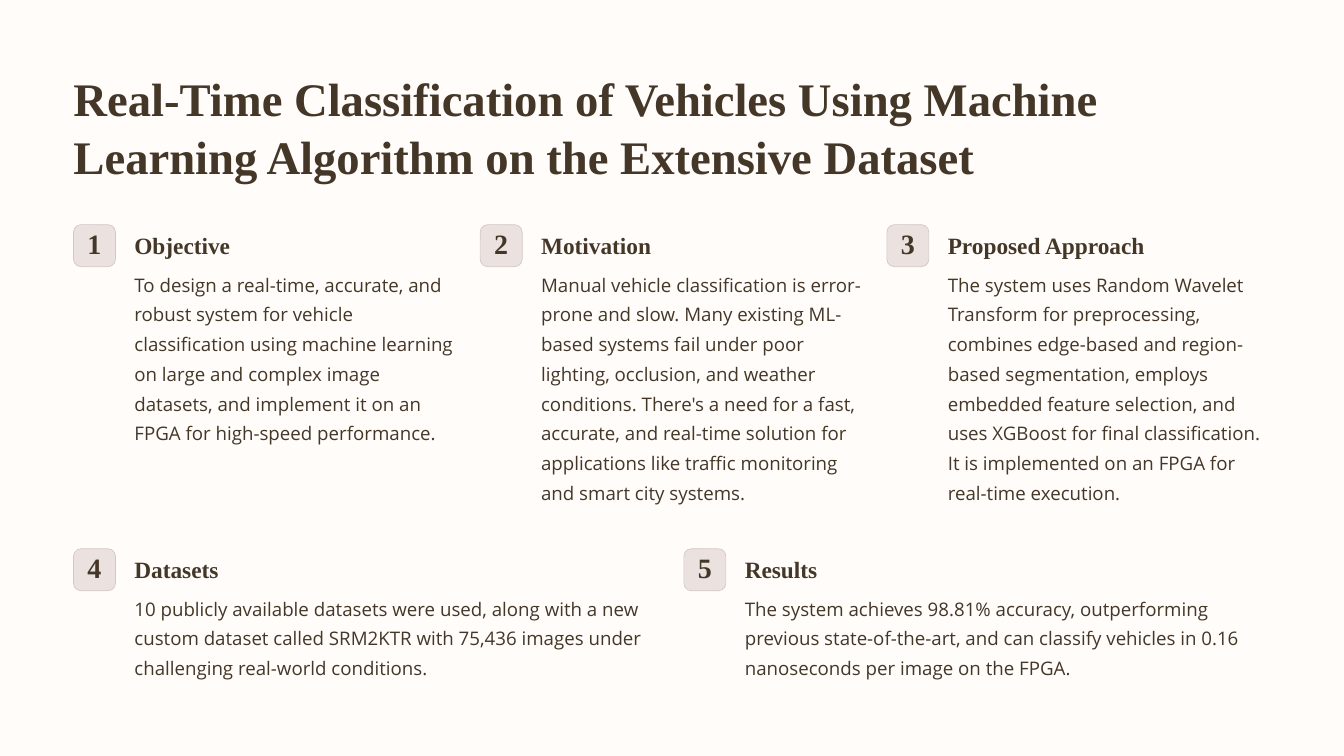
from pptx import Presentation
from pptx.dml.color import RGBColor
from pptx.enum.shapes import MSO_SHAPE
from pptx.enum.text import MSO_ANCHOR, MSO_AUTO_SIZE, PP_ALIGN
from pptx.util import Pt

PX = 9525  # EMU per px, 96 px to the inch
COLORS = {"page": "FFFCFA", "ink": "443728", "badge": "EBE2E0", "edge": "D1C8C6"}
SERIF, SANS = "Times New Roman", "Open Sans"

LEFT, WIDTH, GAP = 105, 1712, 33
BADGE, INDENT = 60, 87

TITLE = ("Real-Time Classification of Vehicles Using Machine Learning Algorithm "
         "on the Extensive Dataset")
# Each row: top, body height, sections
ROWS = [
    (321, 351, [
        ("Objective",
         "To design a real-time, accurate, and robust system for vehicle classification "
         "using machine learning on large and complex image datasets, and implement it "
         "on an FPGA for high-speed performance."),
        ("Motivation",
         "Manual vehicle classification is error-prone and slow. Many existing ML-based "
         "systems fail under poor lighting, occlusion, and weather conditions. There's a "
         "need for a fast, accurate, and real-time solution for applications like "
         "traffic monitoring and smart city systems."),
        ("Proposed Approach",
         "The system uses Random Wavelet Transform for preprocessing, combines edge-based "
         "and region-based segmentation, employs embedded feature selection, and uses "
         "XGBoost for final classification. It is implemented on an FPGA for real-time "
         "execution."),
    ]),
    (784, 136, [
        ("Datasets",
         "10 publicly available datasets were used, along with a new custom dataset called "
         "SRM2KTR with 75,436 images under challenging real-world conditions."),
        ("Results",
         "The system achieves 98.81% accuracy, outperforming previous state-of-the-art, and "
         "can classify vehicles in 0.16 nanoseconds per image on the FPGA."),
    ]),
]


def rgb(name):
    return RGBColor.from_string(COLORS[name])


class Deck:
    """Holds the style and the current slide."""

    def __init__(self, width, height):
        self.prs = Presentation()
        self.prs.slide_width, self.prs.slide_height = width * PX, height * PX
        self.slide = None

    def add_slide(self):
        self.slide = self.prs.slides.add_slide(self.prs.slide_layouts[5])
        fill = self.slide.background.fill
        fill.solid()
        fill.fore_color.rgb = rgb("page")

    def set_text(self, sp, text, size, leading, font=SERIF, bold=True, align=PP_ALIGN.LEFT):
        tf = sp.text_frame
        tf.word_wrap = True
        tf.auto_size = MSO_AUTO_SIZE.NONE
        tf.vertical_anchor = MSO_ANCHOR.TOP
        tf.margin_left = tf.margin_top = tf.margin_right = tf.margin_bottom = 0
        p = tf.paragraphs[0]
        p.text = text
        p.alignment = align
        p.line_spacing = Pt(leading)
        p.space_before = Pt(0)
        p.font.name, p.font.size, p.font.bold = font, Pt(size), bold
        p.font.color.rgb = rgb("ink")

    def title(self, x, y, w, h, text):
        sp = self.slide.shapes.title
        sp.left, sp.top, sp.width, sp.height = (v * PX for v in (x, y, w, h))
        self.set_text(sp, text, 50, 62.5)

    def text(self, x, y, w, h, text, size, leading, **style):
        sp = self.slide.shapes.add_textbox(*(v * PX for v in (x, y, w, h)))
        self.set_text(sp, text, size, leading, **style)

    def badge(self, x, y, number):
        sp = self.slide.shapes.add_shape(
            MSO_SHAPE.ROUNDED_RECTANGLE, *(v * PX for v in (x, y, BADGE, BADGE)))
        sp.adjustments[0] = 0.18
        sp.shadow.inherit = False
        sp.fill.solid()
        sp.fill.fore_color.rgb = rgb("badge")
        sp.line.color.rgb = rgb("edge")
        sp.line.width = Pt(0.75)
        self.text(x + 10, y + 10, 40, 46, str(number), 30, 30, align=PP_ALIGN.CENTER)

    def section(self, x, y, w, body_h, number, heading, body):
        self.badge(x, y, number)
        self.text(x + INDENT, y + 8, 335, 44, heading, 25, 31.2)
        self.text(x + INDENT, y + 59, w - INDENT, body_h, body, 20, 31.9,
                  font=SANS, bold=False)


def main():
    deck = Deck(1920, 1080)
    deck.add_slide()
    deck.title(LEFT, 96, WIDTH, 172, TITLE)
    number = 1
    for top, body_h, sections in ROWS:
        count = len(sections)
        w = (WIDTH - GAP * (count - 1)) // count
        for col, (heading, body) in enumerate(sections):
            deck.section(LEFT + col * (w + GAP), top, w, body_h, number, heading, body)
            number += 1
    deck.prs.save("out.pptx")


if __name__ == "__main__":
    main()
